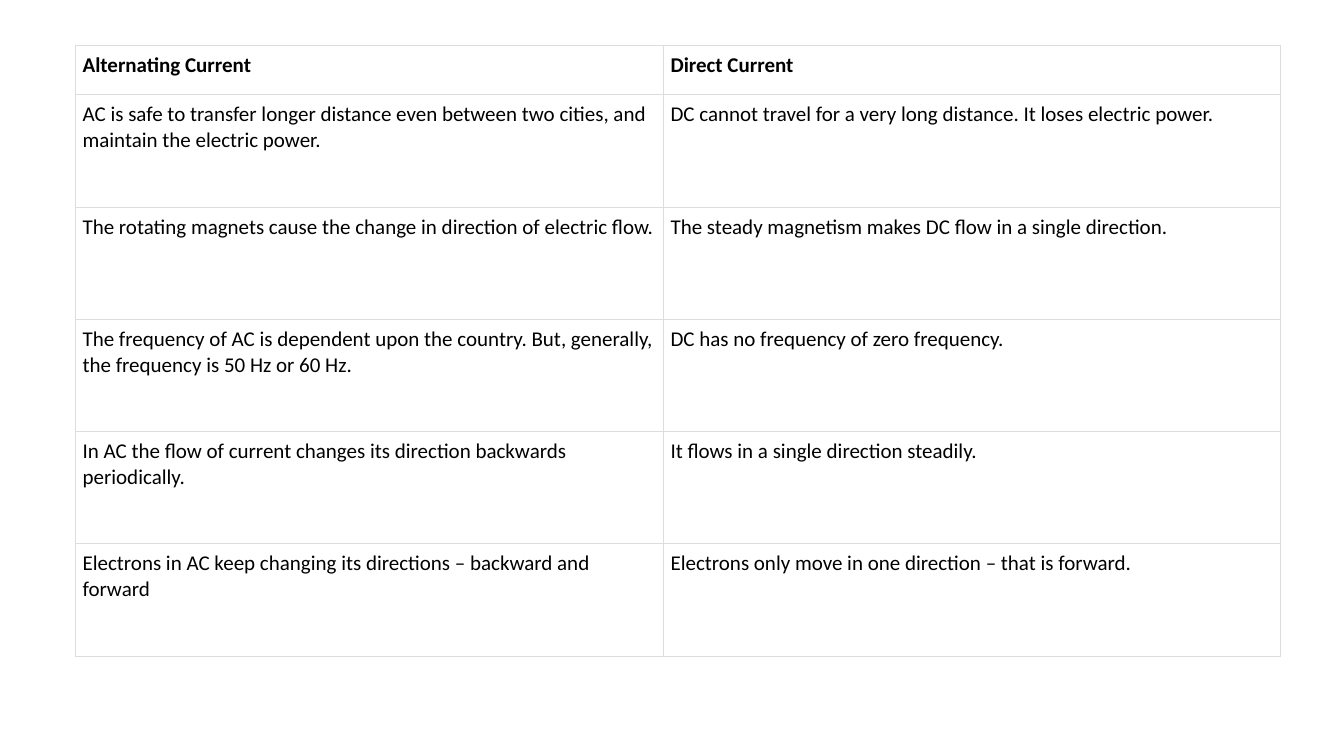
import lxml.etree
import pptx
import pptx.dml.color
import pptx.oxml.ns
import pptx.util

Pt = pptx.util.Pt

ROWS = [
    ("Alternating Current", "Direct Current"),
    ("AC is safe to transfer longer distance even between two cities, and maintain the electric power.",
     "DC cannot travel for a very long distance. It loses electric power."),
    ("The rotating magnets cause the change in direction of electric flow.",
     "The steady magnetism makes DC flow in a single direction."),
    ("The frequency of AC is dependent upon the country. But, generally, the frequency is 50 Hz or 60 Hz.",
     "DC has no frequency of zero frequency."),
    ("In AC the flow of current changes its direction backwards periodically.",
     "It flows in a single direction steadily."),
    ("Electrons in AC keep changing its directions – backward and forward",
     "Electrons only move in one direction – that is forward."),
]


def color(code):
    return pptx.dml.color.RGBColor.from_string(code)


class Deck:
    font, size = "Calibri", 15
    ink, paper, rule = "000000", "FFFFFF", "DDDDDD"
    line, inset = 0.75, 5

    def __init__(self, width, height):
        self.prs = pptx.Presentation()
        self.prs.slide_width, self.prs.slide_height = Pt(width), Pt(height)
        self.slide = self.prs.slides.add_slide(self.prs.slide_layouts[6])

    def table(self, left, top, widths, heights, rows):
        grid = self.slide.shapes.add_table(
            len(heights), len(widths), Pt(left), Pt(top),
            Pt(sum(widths)), Pt(sum(heights))).table
        grid.horz_banding = False
        for col, width in zip(grid.columns, widths):
            col.width = Pt(width)
        for row, height, texts in zip(grid.rows, heights, rows):
            row.height = Pt(height)
            for cell, text in zip(row.cells, texts):
                self.cell(cell, text, bold=texts is rows[0])

    def cell(self, cell, text, bold):
        cell.margin_left = cell.margin_right = Pt(self.inset)
        cell.margin_top = cell.margin_bottom = Pt(self.inset)
        self.border(cell)
        cell.fill.solid()
        cell.fill.fore_color.rgb = color(self.paper)
        cell.text_frame.text = text
        font = cell.text_frame.paragraphs[0].runs[0].font
        font.name, font.size, font.bold = self.font, Pt(self.size), bold
        font.color.rgb = color(self.ink)

    def border(self, cell):
        qn = pptx.oxml.ns.qn
        props = cell._tc.get_or_add_tcPr()
        for side in "LRTB":
            edge = lxml.etree.SubElement(
                props, qn("a:ln" + side), w=str(Pt(self.line)))
            fill = lxml.etree.SubElement(edge, qn("a:solidFill"))
            lxml.etree.SubElement(fill, qn("a:srgbClr"), val=self.rule)


def main():
    deck = Deck(960, 540)
    deck.table(54, 32.4, [420, 440.5], [35.3] + [80.2] * 5, ROWS)
    deck.prs.save("out.pptx")


if __name__ == "__main__":
    main()
